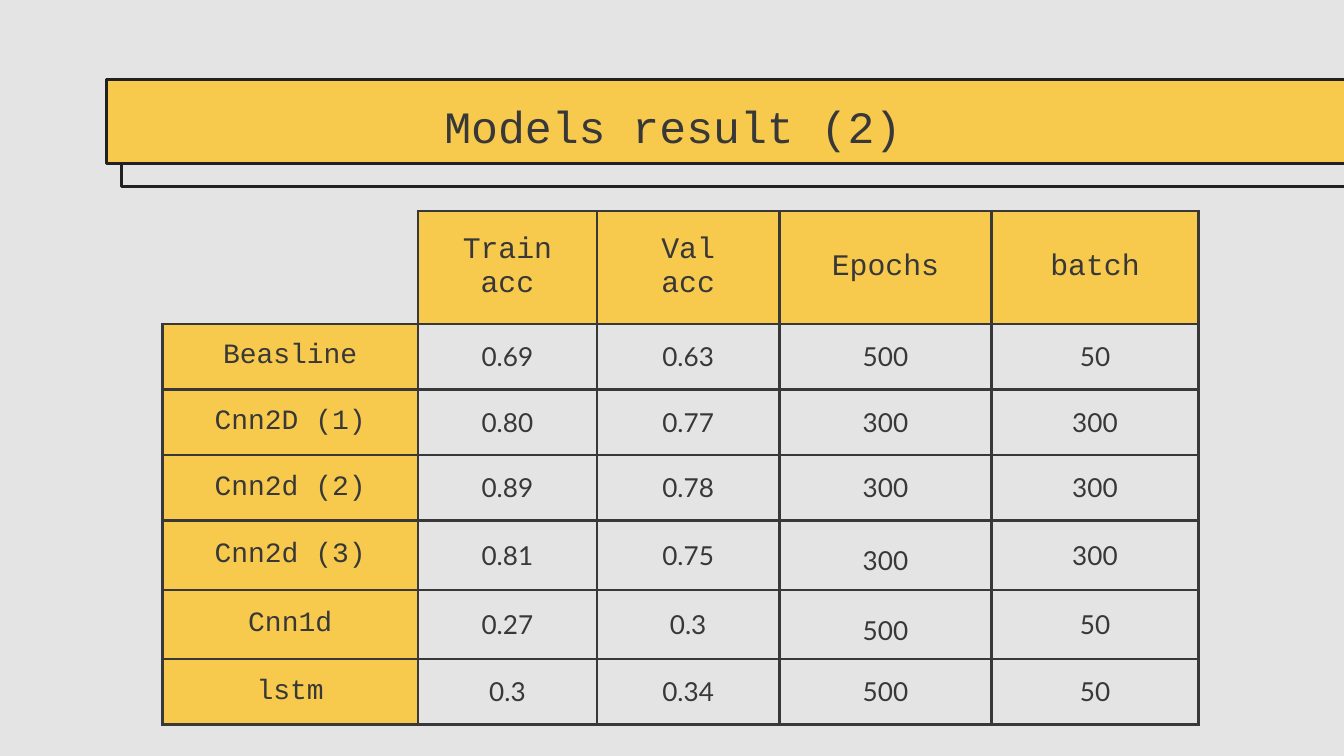
from dataclasses import dataclass

import pptx
import pptx.dml.color
import pptx.enum.shapes
import pptx.enum.text
import pptx.oxml
import pptx.oxml.ns
import pptx.util
from pptx.util import Cm

INK = "383838"
OUTLINE = "212121"
YELLOW = "F7CA4D"
GREY = "E5E4E4"
MONO = "Courier New"
SANS = "Lato"
INSET = Cm(0.25)

CENTER = pptx.enum.text.PP_ALIGN.CENTER
MIDDLE = pptx.enum.text.MSO_ANCHOR.MIDDLE


@dataclass(frozen=True)
class Bar:
    left: float
    top: float
    fill: str


@dataclass(frozen=True)
class Column:
    heading: str
    width: float


@dataclass(frozen=True)
class Result:
    model: str
    values: tuple[str, ...]
    epochs_spacing: float = 1.0


@dataclass(frozen=True)
class CellStyle:
    font: str
    size: int
    fill: str


BARS = [Bar(2.29, 1.93, GREY), Bar(2.01, 1.5, YELLOW)]
COLUMNS = [
    Column("", 4.83),
    Column("Train\nacc", 3.38),
    Column("Val\nacc", 3.45),
    Column("Epochs", 4.01),
    Column("batch", 3.91),
]
RESULTS = [
    Result("Beasline", ("0.69", "0.63", "500", "50")),
    Result("Cnn2D (1)", ("0.80", "0.77", "300", "300")),
    Result("Cnn2d (2)", ("0.89", "0.78", "300", "300")),
    Result("Cnn2d (3)", ("0.81", "0.75", "300", "300"), 1.36),
    Result("Cnn1d", ("0.27", "0.3", "500", "50"), 1.36),
    Result("lstm", ("0.3", "0.34", "500", "50")),
]
EPOCHS_COLUMN = 3
HEADING = CellStyle(MONO, 16, YELLOW)
MODEL = CellStyle(MONO, 15, YELLOW)
VALUE = CellStyle(SANS, 14, GREY)


def color(value: str) -> pptx.dml.color.RGBColor:
    return pptx.dml.color.RGBColor.from_string(value)


def format_paragraphs(frame, font: str, size: int) -> None:
    for paragraph in frame.paragraphs:
        paragraph.alignment = CENTER
        paragraph.font.name = font
        paragraph.font.size = pptx.util.Pt(size)
        paragraph.font.color.rgb = color(INK)


def draw_bar(slide, bar: Bar) -> None:
    shape = slide.shapes.add_shape(
        pptx.enum.shapes.MSO_SHAPE.RECTANGLE,
        Cm(bar.left), Cm(bar.top), Cm(24.1), Cm(1.6))
    shape.shadow.inherit = False
    shape.fill.solid()
    shape.fill.fore_color.rgb = color(bar.fill)
    shape.line.color.rgb = color(OUTLINE)
    shape.line.width = pptx.util.Pt(1.5)


def place_title(slide, text: str) -> None:
    title = slide.shapes.title
    title.left, title.top = Cm(2.01), Cm(1.5)
    title.width, title.height = Cm(21.41), Cm(1.32)
    frame = title.text_frame
    frame.text = text
    frame.vertical_anchor = pptx.enum.text.MSO_ANCHOR.TOP
    frame.margin_left = frame.margin_right = INSET
    frame.margin_top, frame.margin_bottom = Cm(0.36), 0
    format_paragraphs(frame, MONO, 24)
    slide.shapes._spTree.append(title._element)  # in front of the bars


def set_borders(cell, hidden: str = "") -> None:
    """Rule all four sides (L, R, T, B) except the hidden ones."""
    properties = cell._tc.get_or_add_tcPr()
    namespace = pptx.oxml.ns.nsdecls("a")
    for side in "LRTB":
        paint = ("<a:noFill/>" if side in hidden else
                 f'<a:solidFill><a:srgbClr val="{INK}"/></a:solidFill>')
        properties.append(pptx.oxml.parse_xml(
            f'<a:ln{side} {namespace} w="19050">{paint}</a:ln{side}>'))


def fill_cell(cell, text: str, style: CellStyle) -> None:
    cell.text = text
    cell.vertical_anchor = MIDDLE
    cell.margin_left = cell.margin_right = INSET
    cell.margin_top = cell.margin_bottom = INSET
    format_paragraphs(cell.text_frame, style.font, style.size)
    set_borders(cell)
    cell.fill.solid()
    cell.fill.fore_color.rgb = color(style.fill)


def draw_results(slide) -> None:
    heading_height, row_height = 2.13, 1.24
    table = slide.shapes.add_table(
        len(RESULTS) + 1, len(COLUMNS), Cm(3.07), Cm(3.99),
        Cm(sum(column.width for column in COLUMNS)),
        Cm(heading_height + row_height * len(RESULTS))).table
    table.first_row = table.horz_banding = False
    table.rows[0].height = Cm(heading_height)

    for index, column in enumerate(COLUMNS):
        table.columns[index].width = Cm(column.width)
        if column.heading:
            fill_cell(table.cell(0, index), column.heading, HEADING)
    corner = table.cell(0, 0)
    set_borders(corner, hidden="LT")
    corner.fill.background()

    for row, result in enumerate(RESULTS, start=1):
        table.rows[row].height = Cm(row_height)
        fill_cell(table.cell(row, 0), result.model, MODEL)
        for index, value in enumerate(result.values, start=1):
            fill_cell(table.cell(row, index), value, VALUE)
        epochs = table.cell(row, EPOCHS_COLUMN).text_frame.paragraphs[0]
        epochs.line_spacing = result.epochs_spacing


def main() -> None:
    presentation = pptx.Presentation()
    presentation.slide_width = Cm(25.4)
    presentation.slide_height = Cm(14.29)
    slide = presentation.slides.add_slide(presentation.slide_layouts[5])
    slide.background.fill.solid()
    slide.background.fill.fore_color.rgb = color(GREY)
    for bar in BARS:
        draw_bar(slide, bar)
    place_title(slide, "Models result (2)")
    draw_results(slide)
    presentation.save("out.pptx")


if __name__ == "__main__":
    main()
